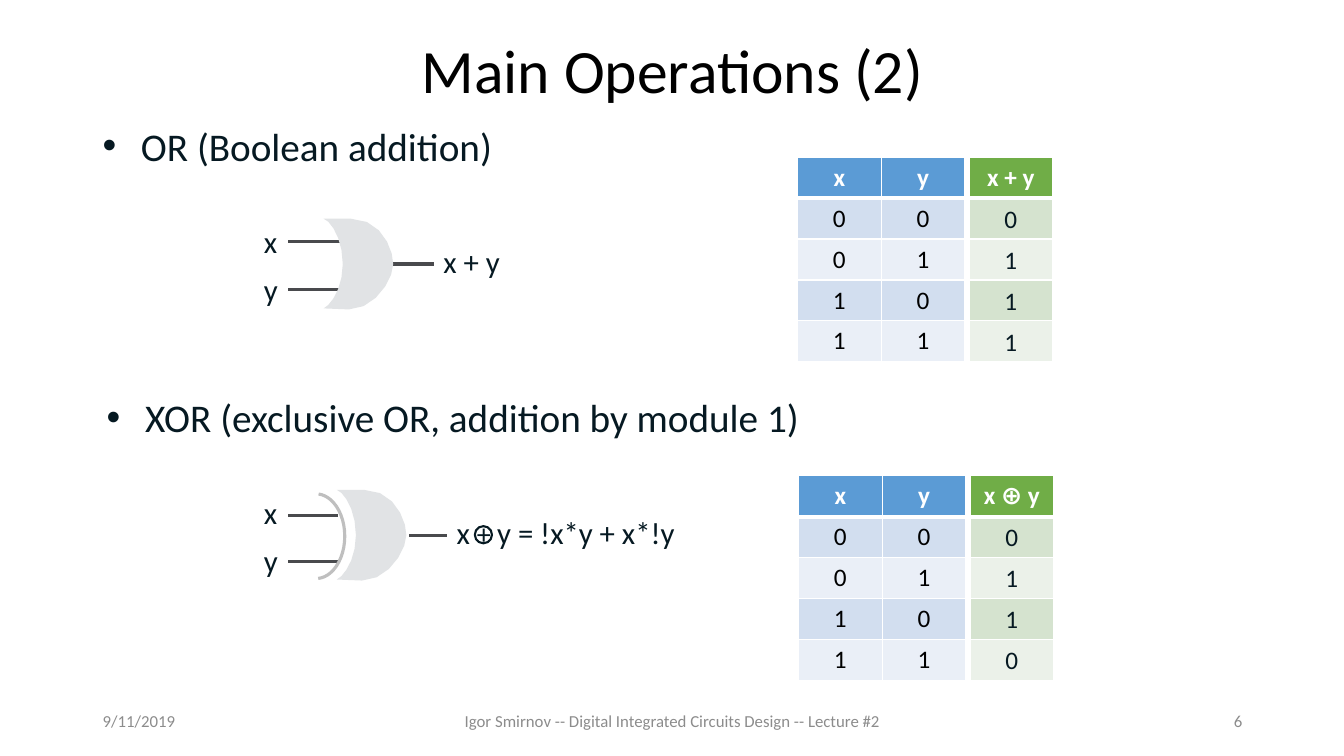
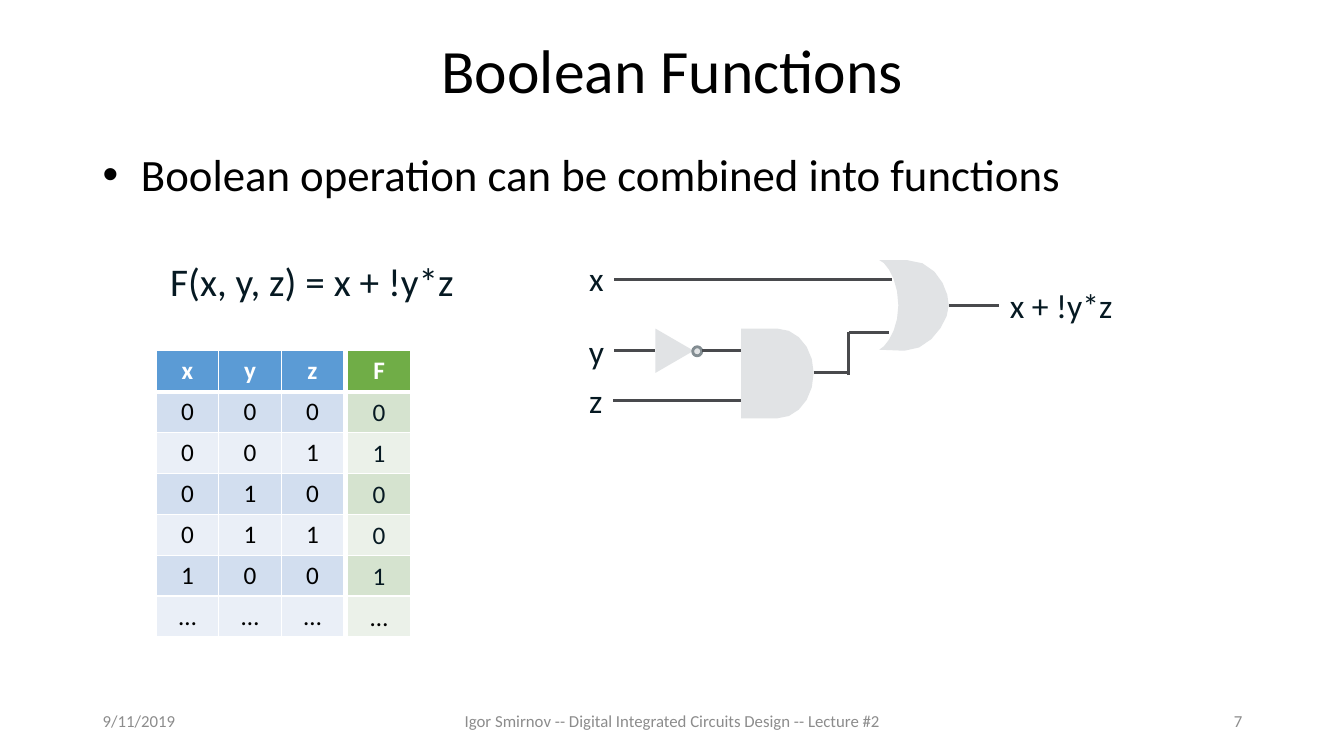
from dataclasses import dataclass

from lxml import etree
from pptx import Presentation
from pptx.dml.color import RGBColor
from pptx.enum.shapes import MSO_CONNECTOR, MSO_SHAPE
from pptx.enum.text import MSO_ANCHOR, PP_ALIGN
from pptx.oxml.ns import qn
from pptx.util import Inches, Pt

LEFT, CENTER, RIGHT = PP_ALIGN.LEFT, PP_ALIGN.CENTER, PP_ALIGN.RIGHT
TOP, MIDDLE = MSO_ANCHOR.TOP, MSO_ANCHOR.MIDDLE
STRAIGHT = MSO_CONNECTOR.STRAIGHT
ARC, OVAL, TRIANGLE = MSO_SHAPE.ARC, MSO_SHAPE.OVAL, MSO_SHAPE.ISOSCELES_TRIANGLE
TITLE_ONLY = 5


@dataclass(frozen=True)
class Theme:
    font: str = "Calibri"
    black: str = "000000"
    ink: str = "061922"
    white: str = "FFFFFF"
    muted: str = "8C8C8C"
    wire: str = "494A4D"
    gate: str = "E1E3E5"
    arc: str = "BFBFBF"
    bubble: str = "838D92"
    input_fills: tuple = ("5B9BD5", "D2DEEF", "EAEFF7")
    result_fills: tuple = ("70AD47", "D5E3CF", "EBF1E9")
    title: int = 44
    lead: int = 32
    body: int = 28
    signal: int = 24
    label: int = 22
    operator: int = 20
    table: int = 18
    footer: int = 12
    wire_width: float = 2.25


THEME = Theme()
FOOTER = "Igor Smirnov -- Digital Integrated Circuits Design -- Lecture #2"
DATE = "9/11/2019"

# Gate outlines: start point, then lines (one point) and curves (three points)
OR_START = (0.27, 0)
OR_OUTLINE = [
    [(0, 0)],
    [(0.07, 0.02), (0.19, 0.2), (0.19, 0.45)],
    [(0.19, 0.69), (0.07, 0.86), (0, 0.89)],
    [(0.25, 0.9)],
    [(0.51, 0.9), (0.69, 0.6), (0.69, 0.45)],
    [(0.69, 0.3), (0.57, 0), (0.27, 0)],
]
AND_START = (0, 0)
AND_OUTLINE = [
    [(0.36, 0)],
    [(0.56, 0), (0.72, 0.2), (0.72, 0.44)],
    [(0.72, 0.69), (0.56, 0.89), (0.36, 0.89)],
    [(0, 0.89)],
]


def rgb(color):
    return RGBColor.from_string(color)


# Text
def add_run(paragraph, text, size, color, bold=False):
    run = paragraph.add_run()
    run.text = text
    font = run.font
    font.name, font.size, font.bold = THEME.font, Pt(size), bold
    font.color.rgb = rgb(color)


def add_text(slide, box, runs, color=THEME.ink, align=LEFT, anchor=TOP, wrap=False):
    frame = slide.shapes.add_textbox(*map(Inches, box)).text_frame
    frame.word_wrap = wrap
    frame.vertical_anchor = anchor
    paragraph = frame.paragraphs[0]
    paragraph.alignment = align
    for text, size in runs:
        add_run(paragraph, text, size, color)
    return paragraph


def add_bullet(slide, box, text, size, color=THEME.ink):
    properties = add_text(slide, box, [(text, size)], color, wrap=True)._p.get_or_add_pPr()
    properties.set("marL", str(Inches(0.38)))
    properties.set("indent", str(-Inches(0.38)))
    etree.SubElement(properties, qn("a:buFont"), typeface="Arial")
    etree.SubElement(properties, qn("a:buChar"), char="•")


# Slide frame: title and footer
def add_slide(deck, title, number):
    slide = deck.slides.add_slide(deck.slide_layouts[TITLE_ONLY])
    heading = slide.shapes.title
    heading.left, heading.top, heading.width, heading.height = map(
        Inches, (0.92, 0, 11.5, 1.45))
    heading.text_frame.vertical_anchor = MIDDLE
    paragraph = heading.text_frame.paragraphs[0]
    paragraph.alignment, paragraph.line_spacing = CENTER, 0.9
    add_run(paragraph, title, THEME.title, THEME.black)

    for left, width, text, align in (
            (0.92, 3, DATE, LEFT), (4.42, 4.5, FOOTER, CENTER), (9.42, 3, str(number), RIGHT)):
        add_text(slide, (left, 6.95, width, 0.4), [(text, THEME.footer)],
                 THEME.muted, align, MIDDLE, wrap=True)
    return slide


# Circuit parts
def add_wire(slide, x1, y1, x2, y2):
    wire = slide.shapes.add_connector(STRAIGHT, *map(Inches, (x1, y1, x2, y2)))
    wire.line.color.rgb = rgb(THEME.wire)
    wire.line.width = Pt(THEME.wire_width)
    etree.SubElement(wire._element.spPr, qn("a:effectLst"))


def paint(shape, fill=None, line=None, width=THEME.wire_width):
    shape.shadow.inherit = False
    if fill:
        shape.fill.solid()
        shape.fill.fore_color.rgb = rgb(fill)
    else:
        shape.fill.background()
    if line:
        shape.line.color.rgb = rgb(line)
        shape.line.width = Pt(width)
    else:
        shape.line.fill.background()


def add_part(slide, kind, box, **look):
    part = slide.shapes.add_shape(kind, *map(Inches, box))
    paint(part, **look)
    return part


def curve_points(start, controls, steps=5):
    """Points along a cubic curve, without its start."""
    corners = [start, *controls]
    for step in range(1, steps + 1):
        t = step / steps
        weights = ((1 - t) ** 3, 3 * t * (1 - t) ** 2, 3 * t * t * (1 - t), t ** 3)
        yield tuple(sum(w * c[axis] for w, c in zip(weights, corners)) for axis in (0, 1))


def add_gate(slide, left, top, start, outline):
    points = [start]
    for segment in outline:
        points += segment if len(segment) == 1 else curve_points(points[-1], segment)
    spots = [(Inches(left + x), Inches(top + y)) for x, y in points]
    builder = slide.shapes.build_freeform(*spots[0])
    builder.add_line_segments(spots[1:], close=True)
    paint(builder.convert_to_shape(), THEME.gate)


# Truth table: input columns, and a result column with its values laid over it
def set_borders(cell, row):
    properties = cell._tc.get_or_add_tcPr()
    widths = {"L": 1, "R": 1, "T": 3 if row == 1 else 1, "B": 3 if row == 0 else 1}
    for side, width in widths.items():
        border = etree.SubElement(properties, qn(f"a:ln{side}"), w=str(Pt(width)))
        fill = etree.SubElement(border, qn("a:solidFill"))
        etree.SubElement(fill, qn("a:srgbClr"), val=THEME.white)


def add_grid(slide, box, rows, fills):
    left, top, width, height = map(Inches, box)
    grid = slide.shapes.add_table(len(rows), len(rows[0]), left, top, width, height).table
    for r, values in enumerate(rows):
        for c, value in enumerate(values):
            cell = grid.cell(r, c)
            set_borders(cell, r)
            cell.fill.solid()
            cell.fill.fore_color.rgb = rgb(fills[0] if r == 0 else fills[2 - r % 2])
            paragraph = cell.text_frame.paragraphs[0]
            paragraph.alignment = CENTER
            if value:
                add_run(paragraph, value, THEME.table,
                        THEME.white if r == 0 else THEME.black, r == 0)


def add_truth_table(slide, box, column, inputs, heading, results, gap=0.04):
    left, top, height = box
    width = column * len(inputs[0])
    result_left = left + width + gap
    row_height = height / len(inputs)
    add_grid(slide, (left, top, width, height), inputs, THEME.input_fills)
    add_grid(slide, (result_left, top, column, height),
             [[heading]] + [[""]] * len(results), THEME.result_fills)
    value_width = 0.43
    value_left = result_left + (column - value_width) / 2
    for row, result in enumerate(results, 1):
        add_text(slide, (value_left, top + row * row_height, value_width, 0.4),
                 [(result, THEME.table)], THEME.black if result == "…" else THEME.ink,
                 CENTER, wrap=True)


# One two-input gate with its labels
def add_gate_diagram(slide, left, top, expression, width, exclusive=False):
    shift = 0.13 if exclusive else 0
    wire_tops = (0.26, 0.72) if exclusive else (0.24, 0.71)
    wire_end = 0.83 if exclusive else 0.86
    output = 1.54 if exclusive else 1.38
    for name, label_top, wire_top in zip("xy", (0, 0.48), wire_tops):
        add_text(slide, (left, top + label_top, 0.34, 0.47), [(name, THEME.label)])
        add_wire(slide, left + 0.34, top + wire_top, left + wire_end, top + wire_top)
    add_wire(slide, left + output, top + 0.46, left + 1.78 + shift, top + 0.46)
    add_gate(slide, left + 0.69 + shift, top + 0.01, OR_START, OR_OUTLINE)
    add_text(slide, (left + 1.78 + shift, top + 0.2, width, 0.47), expression)
    if exclusive:
        back = add_part(slide, ARC, (left + 0.33, top + 0.05, 0.57, 0.84), line=THEME.arc)
        back.adjustments[0], back.adjustments[1] = 164.09, 52.21
        add_part(slide, OVAL, (left + 2.19, top + 0.37, 0.17, 0.17),
                 line=THEME.ink, width=1.5)


# Circuit for x + !y*z
def add_function_circuit(slide, left, top):
    def wire(x1, y1, x2, y2):
        add_wire(slide, left + x1, top + y1, left + x2, top + y2)

    labels = (("x", 0, 0, 0.35), ("y", 0, 0.72, 0.35), ("z", 0, 1.21, 0.34),
              ("x + !y*z", 4.17, 0.27, 1.23))
    for name, x, y, width in labels:
        add_text(slide, (left + x, top + y, width, 0.5), [(name, THEME.signal)],
                 align=CENTER, anchor=MIDDLE)
    # Inverter
    inverter = add_part(slide, TRIANGLE, (left + 0.73, top + 0.78, 0.44, 0.38),
                        fill=THEME.gate)
    inverter.rotation = 90
    add_part(slide, OVAL, (left + 1.13, top + 0.93, 0.09, 0.09),
             fill=THEME.gate, line=THEME.bubble, width=2)
    wire(1.22, 0.97, 1.61, 0.97)
    wire(0.35, 0.97, 0.76, 0.97)
    # AND gate
    add_gate(slide, left + 1.61, top + 0.75, AND_START, AND_OUTLINE)
    wire(0.34, 1.46, 1.61, 1.46)
    wire(2.33, 1.19, 2.68, 1.19)
    # OR gate
    add_gate(slide, left + 2.98, top + 0.07, OR_START, OR_OUTLINE)
    wire(0.35, 0.26, 3.11, 0.26)
    wire(3.67, 0.52, 4.17, 0.52)
    wire(2.68, 0.79, 3.08, 0.79)
    wire(2.68, 1.21, 2.68, 0.78)


def build_operations(deck):
    slide = add_slide(deck, "Main Operations (2)", 6)
    pairs = ["xy", "00", "01", "10", "11"]
    add_bullet(slide, (0.92, 1.16, 11.5, 0.59), "OR (Boolean addition)", THEME.body)
    add_gate_diagram(slide, 2.52, 2.16, [("x + y", THEME.label)], 0.77)
    add_truth_table(slide, (7.91, 1.56, 2.03), 0.83, pairs, "x + y", "0111")

    add_bullet(slide, (0.96, 3.85, 7.18, 0.8),
               "XOR (exclusive OR, addition by module 1)", THEME.body)
    xor = [("x ", THEME.label), ("+ ", THEME.operator), ("y = !x*y + x*!y", THEME.label)]
    add_gate_diagram(slide, 2.52, 4.85, xor, 2.39, exclusive=True)
    add_truth_table(slide, (7.92, 4.72, 2.03), 0.83, pairs, "x ⊕ y", "0110")


def build_functions(deck):
    slide = add_slide(deck, "Boolean Functions", 7)
    add_bullet(slide, (0.92, 1.41, 11.5, 0.72),
               "Boolean operation can be combined into functions", THEME.lead, THEME.black)
    add_text(slide, (1.59, 2.5, 3.23, 0.57), [("F(x, y, z) = x + !y*z", THEME.body)], wrap=True)
    triples = ["xyz", "000", "001", "010", "011", "100", "………"]
    add_truth_table(slide, (1.55, 3.48, 2.84), 0.62, triples, "F", "01001…")
    add_function_circuit(slide, 5.74, 2.51)


deck = Presentation()
deck.slide_width, deck.slide_height = Inches(13.33), Inches(7.5)
build_operations(deck)
build_functions(deck)
deck.save("out.pptx")
